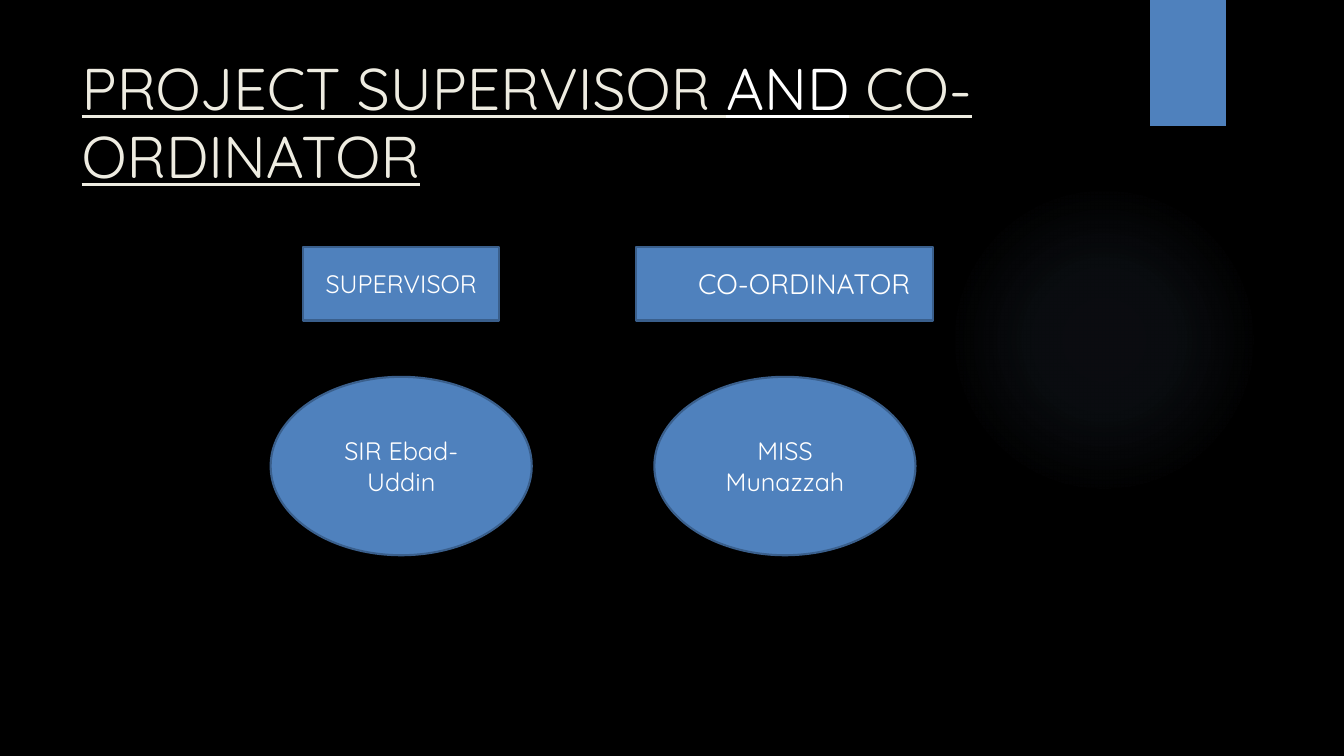
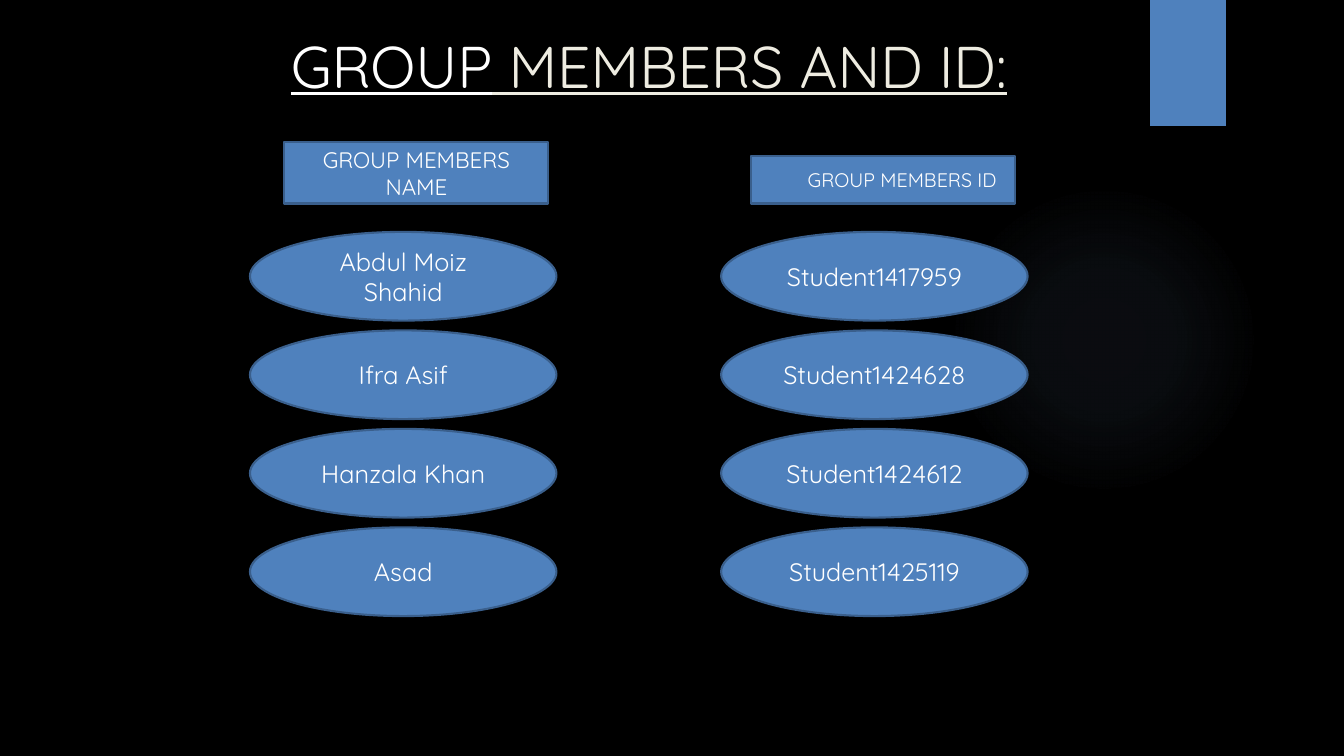
from lxml.etree import SubElement
from pptx import Presentation
from pptx.dml.color import RGBColor
from pptx.enum.shapes import MSO_SHAPE
from pptx.enum.text import MSO_ANCHOR, MSO_AUTO_SIZE, PP_ALIGN
from pptx.oxml.ns import qn
from pptx.util import Inches, Pt

COLORS = {
    "back": "000000",
    "fill": "4F81BD",
    "edge": "3A5F8C",
    "glow": "8EB4E3",
    "cream": "EEECE1",
    "white": "FFFFFF",
}
FONT = "Quicksand"
WIDTH, HEIGHT = Inches(13.33), Inches(7.5)
RECT, OVAL = MSO_SHAPE.RECTANGLE, MSO_SHAPE.OVAL


# Grid of 100 columns by 100 rows
def col(n):
    return round(WIDTH * n / 100)


def row(n):
    return round(HEIGHT * n / 100)


def tint(name):
    return RGBColor.from_string(COLORS[name])


def style(run, size, color):
    run.font.name = FONT
    run.font.size = Pt(size)
    run.font.color.rgb = tint(color)


def block(slide, kind, x, y, w, h):
    """Plain shape without outline or shadow."""
    shape = slide.shapes.add_shape(kind, col(x), row(y), col(w), row(h))
    shape.shadow.inherit = False
    shape.fill.solid()
    shape.fill.fore_color.rgb = tint("fill")
    shape.line.fill.background()
    return shape


def card(slide, kind, mid, y, w, h, text, size=18, inset=0.75):
    """Outlined shape centred on column mid, with centred text."""
    shape = block(slide, kind, mid - w / 2, y, w, h)
    shape.line.color.rgb = tint("edge")
    shape.line.width = Pt(1.5)
    frame = shape.text_frame
    frame.text = text
    frame.word_wrap = True
    frame.vertical_anchor = MSO_ANCHOR.MIDDLE
    frame.margin_left = col(inset)
    para = frame.paragraphs[0]
    para.alignment = PP_ALIGN.CENTER
    style(para.runs[0], size, "white")


def glow(shape):
    """Faint radial gradient that fades out towards the edge."""
    shape.fill.gradient()
    grad = shape.element.spPr.find(qn("a:gradFill"))
    for child in list(grad):
        grad.remove(child)
    stops = SubElement(grad, qn("a:gsLst"))
    for pos, alpha in ((0, 7), (36, 6), (69, 0), (100, 0)):
        stop = SubElement(stops, qn("a:gs"), pos=str(pos * 1000))
        color = SubElement(stop, qn("a:srgbClr"), val=COLORS["glow"])
        SubElement(color, qn("a:alpha"), val=str(alpha * 1000))
    radial = SubElement(grad, qn("a:path"), path="circle")
    SubElement(radial, qn("a:fillToRect"), l="50000", t="50000", r="50000", b="50000")


def decor(slide):
    """Give the slide's layout the black ground, glow and corner tab."""
    layout = slide.slide_layout
    layout.background.fill.solid()
    layout.background.fill.fore_color.rgb = tint("back")
    halo = block(slide, OVAL, 70.58, 24.4, 23.1, 41.07)
    glow(halo)
    tab = block(slide, RECT, 85.58, 0, 5.63, 16.67)
    for shape in (halo, tab):
        layout.shapes.element.append(shape.element)


def head(slide, x, y, w, h, parts, align):
    """Underlined title made of (text, colour) parts."""
    title = slide.shapes.title
    title.left, title.top = col(x), row(y)
    title.width, title.height = col(w), row(h)
    frame = title.text_frame
    frame.word_wrap = True
    frame.auto_size = MSO_AUTO_SIZE.NONE
    frame.vertical_anchor = MSO_ANCHOR.TOP
    para = frame.paragraphs[0]
    para.alignment = align
    para.line_spacing = 0.97
    for text, color in parts:
        run = para.add_run()
        run.text = text
        style(run, 42, color)
        run.font.underline = True


def staff(slide):
    parts = (("PROJECT SUPERVISOR ", "cream"), ("AND", "white"),
             (" CO-ORDINATOR", "cream"))
    head(slide, 5.33, 6.67, 77.18, 20.4, parts, PP_ALIGN.LEFT)
    # Role above, person below
    roles = (
        (29.85, 14.55, "SUPERVISOR", 18, 0.75, "SIR Ebad-Uddin"),
        (58.4, 22.1, "CO-ORDINATOR", 20, 3.6, "MISS Munazzah"),
    )
    for mid, width, role, size, inset, name in roles:
        card(slide, RECT, mid, 32.67, width, 9.73, role, size, inset)
        card(slide, OVAL, mid, 49.85, 19.43, 23.6, name)


def group(slide):
    parts = (("GROUP", "white"), (" MEMBERS AND ID:", "cream"))
    head(slide, 5.63, 3.73, 85.28, 16.67, parts, PP_ALIGN.CENTER)
    # Column labels share a bottom edge
    base = 26.93
    labels = (
        (30.98, 8.13, "GROUP MEMBERS NAME", 16, 0.75),
        (65.7, 6.27, "GROUP MEMBERS ID", 14, 3.6),
    )
    for mid, high, text, size, inset in labels:
        card(slide, RECT, mid, base - high, 19.65, high, text, size, inset)
    # One row per member
    members = (
        ("Abdul Moiz Shahid", "Student1417959"),
        ("Ifra Asif", "Student1424628"),
        ("Hanzala Khan", "Student1424612"),
        ("Asad", "Student1425119"),
    )
    for i, pair in enumerate(members):
        for mid, text in zip((30, 65.06), pair):
            card(slide, OVAL, mid, 30.67 + 13.03 * i, 22.8, 11.73, text)


def main():
    prs = Presentation()
    prs.slide_width, prs.slide_height = WIDTH, HEIGHT
    layout = prs.slide_layouts[5]
    first, second = (prs.slides.add_slide(layout) for _ in range(2))
    decor(first)
    staff(first)
    group(second)
    prs.save("out.pptx")


if __name__ == "__main__":
    main()
